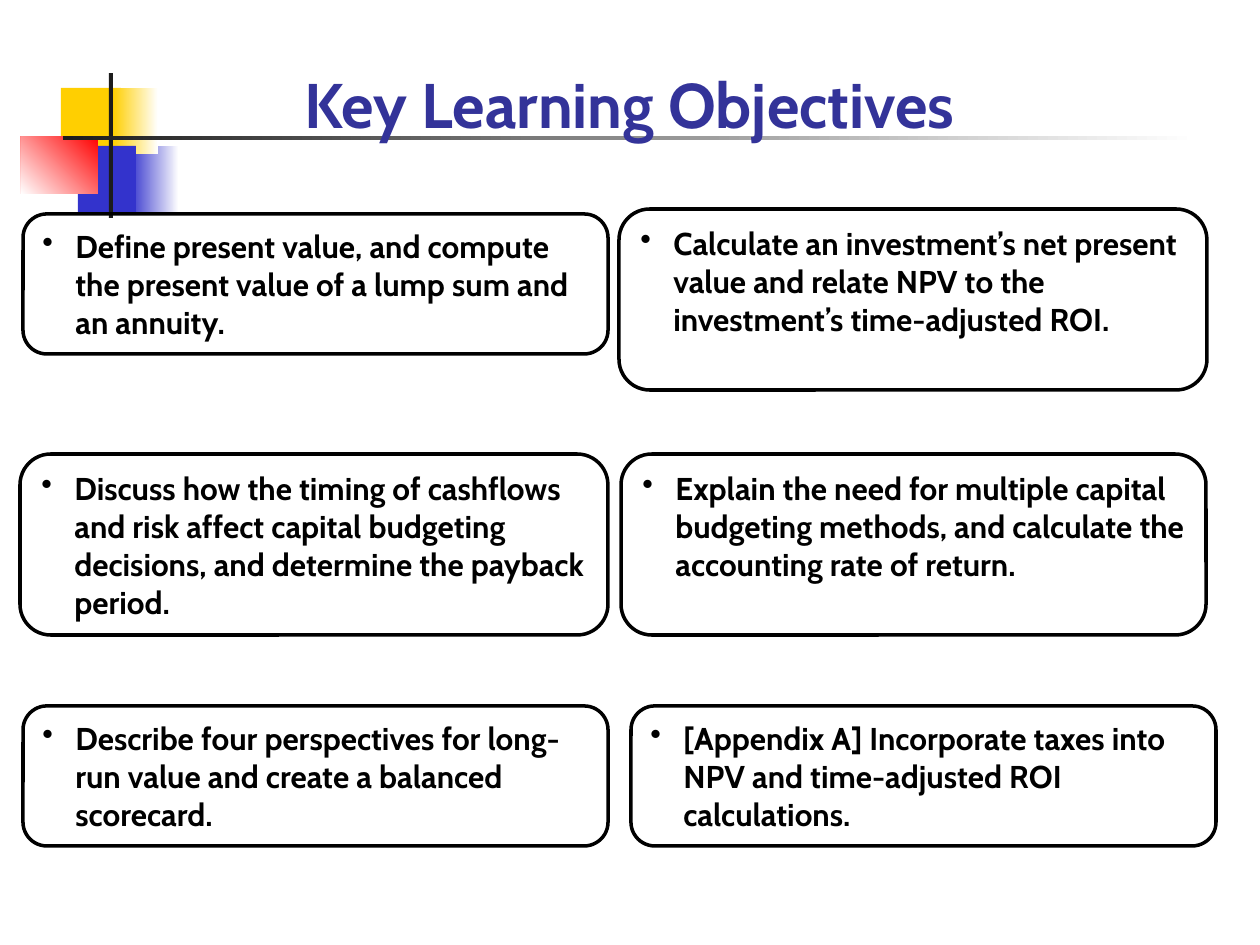
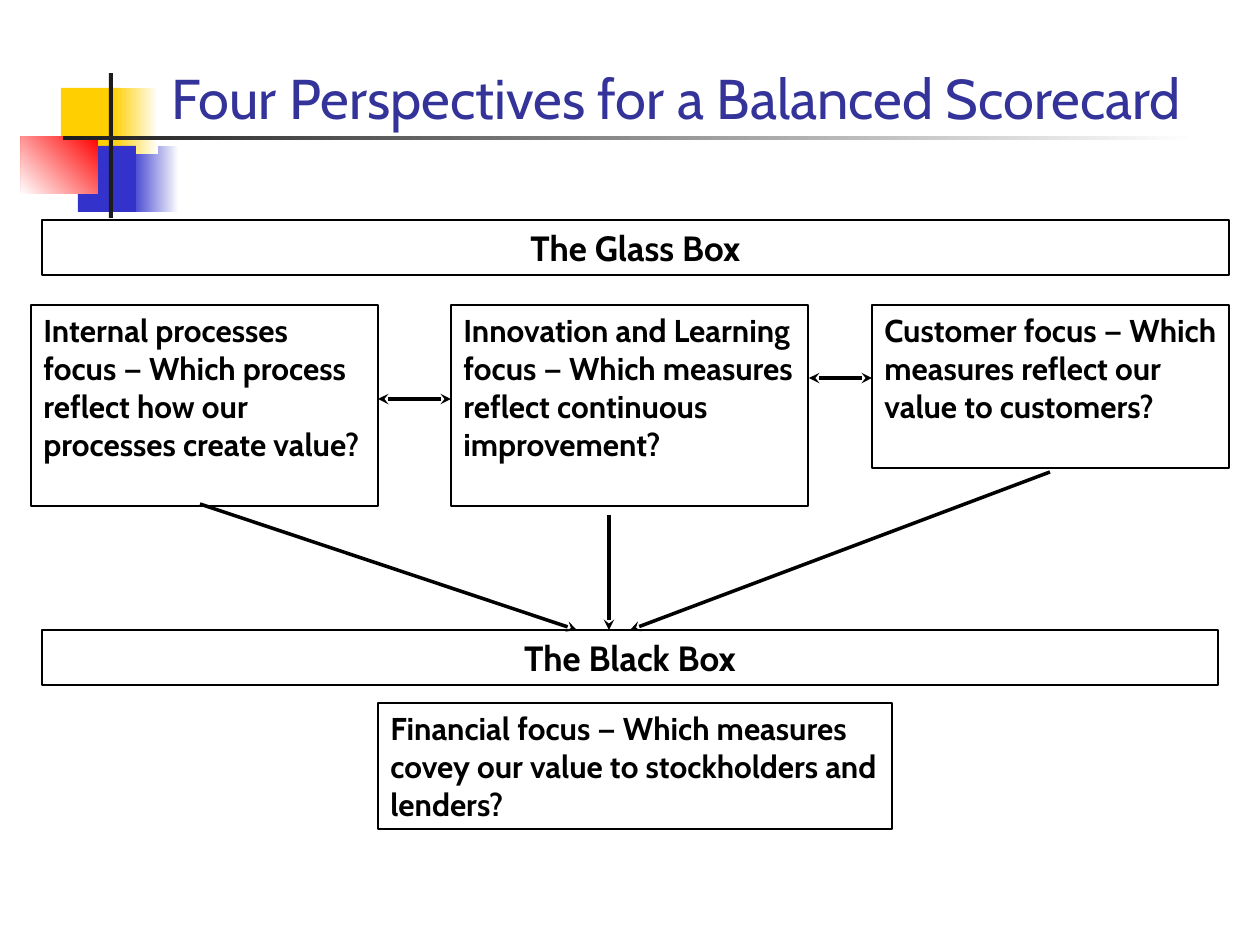
from lxml import etree
from pptx import Presentation
from pptx import util as u
from pptx.dml.color import RGBColor
from pptx.enum import shapes, text
from pptx.oxml.ns import qn

PX = 914400 / 126
FONT = "Cabin"
BLACK, WHITE, TITLE_BLUE = "000000", "FFFFFF", "333399"
BLUE, YELLOW, RED, CHARCOAL = "3333CC", "FFCF01", "FF0000", "1C1C1C"
LEFT, CENTER = text.PP_ALIGN.LEFT, text.PP_ALIGN.CENTER
RECT, ROUNDED = shapes.MSO_SHAPE.RECTANGLE, shapes.MSO_SHAPE.ROUNDED_RECTANGLE
HANGING = 33

# Corner decoration, back to front: place, colours, clockwise gradient angle
DECORATION = [
    ((129, 146, 50, 66), (WHITE, BLUE), 180),
    ((61, 88, 60, 66), (YELLOW,), 0),
    ((113, 88, 45, 66), (WHITE, YELLOW), 180),
    ((78, 146, 58, 66), (BLUE,), 0),
    ((21, 136, 77, 58), (RED, WHITE), 135),
    ((109, 73, 4, 145), (CHARCOAL,), 0),
    ((63, 136, 1134, 4), (WHITE, CHARCOAL), 180),
]

OBJECTIVES = [
    ((23, 214, 585, 140), "Define present value, and compute the present value "
                          "of a lump sum and an annuity."),
    ((619, 209, 588, 181), "Calculate an investment’s net present value and relate NPV "
                           "to the investment’s time-adjusted ROI."),
    ((20, 454, 588, 181), "Discuss how the timing of cashflows and risk affect capital "
                          "budgeting decisions, and determine the payback period."),
    ((621, 454, 585, 181), "Explain the need for multiple capital budgeting methods, "
                           "and calculate the accounting rate of return."),
    ((23, 706, 585, 140), "Describe four perspectives for long-run value and create "
                          "a balanced scorecard."),
    ((631, 706, 585, 140), "[Appendix A] Incorporate taxes into NPV and time-adjusted "
                           "ROI calculations."),
]

HEADINGS = [
    ((42, 220, 1187, 55), "The Glass Box"),
    ((42, 630, 1176, 55), "The Black Box"),
]

PERSPECTIVES = [
    ((31, 305, 347, 201), "Internal processes focus — Which process reflect how our "
                          "processes create value?"),
    ((451, 305, 357, 201), "Innovation and Learning focus — Which measures reflect "
                           "continuous improvement?"),
    ((872, 305, 357, 163), "Customer focus — Which measures reflect our value "
                           "to customers?"),
    ((378, 703, 514, 126), "Financial focus — Which measures covey our value to "
                           "stockholders and lenders?"),
]

# Start, end, and whether the arrow points both ways
ARROWS = [
    ((378, 399), (451, 399), True),
    ((809, 378), (872, 378), True),
    ((609, 515), (609, 630), False),
    ((1050, 472), (630, 630), False),
    ((200, 504), (577, 630), False),
]


def px(*lengths):
    return [u.Emu(round(length * PX)) for length in lengths]


def color(hex_string):
    return RGBColor.from_string(hex_string)


def style_font(para, size, hex_color, bold):
    para.font.name = FONT
    para.font.size = u.Pt(size)
    para.font.bold = bold
    para.font.color.rgb = color(hex_color)


def add_decoration(page):
    for place, colors, angle in DECORATION:
        block = page.shapes.add_shape(RECT, *px(*place))
        block.shadow.inherit = False
        block.line.fill.background()
        if len(colors) == 1:
            block.fill.solid()
            block.fill.fore_color.rgb = color(colors[0])
        else:
            block.fill.gradient()
            block.fill.gradient_angle = (360 - angle) % 360
            for stop, hex_color, position in zip(block.fill.gradient_stops, colors, (0, 1)):
                stop.color.rgb = color(hex_color)
                stop.position = position


def add_page(deck, heading, place, size, align, bold):
    page = deck.slides.add_slide(deck.slide_layouts[5])
    add_decoration(page)
    title = page.shapes.title
    title.left, title.top, title.width, title.height = px(*place)
    frame = title.text_frame
    frame.text = heading
    frame.word_wrap = True
    frame.auto_size = text.MSO_AUTO_SIZE.NONE
    frame.vertical_anchor = text.MSO_ANCHOR.BOTTOM
    para = frame.paragraphs[0]
    para.alignment = align
    style_font(para, size, TITLE_BLUE, bold)
    # The title lies above the decoration
    page.shapes._spTree.append(title._element)
    return page


def add_box(page, kind, place, words, line_width, size=18, align=LEFT):
    box = page.shapes.add_shape(kind, *px(*place))
    box.shadow.inherit = False
    box.fill.background()
    box.line.color.rgb = color(BLACK)
    box.line.width = u.Pt(line_width)
    frame = box.text_frame
    frame.text = words
    frame.word_wrap = True
    frame.vertical_anchor = text.MSO_ANCHOR.TOP
    para = frame.paragraphs[0]
    para.alignment = align
    style_font(para, size, BLACK, True)
    return box


def add_bullet(para):
    properties = para._p.get_or_add_pPr()
    indent = px(HANGING)[0]
    properties.set("marL", str(indent))
    properties.set("indent", str(-indent))
    bullet = etree.Element(qn("a:buChar"), char="•")
    properties.insert(0, bullet)


def add_objective(page, place, words):
    box = add_box(page, ROUNDED, place, words, line_width=2)
    box.adjustments[0] = 0.17
    add_bullet(box.text_frame.paragraphs[0])


def add_arrow(page, start, end, both_ways):
    arrow = page.shapes.add_connector(shapes.MSO_CONNECTOR.STRAIGHT, *px(*start, *end))
    arrow.line.color.rgb = color(BLACK)
    arrow.line.width = u.Pt(2)
    line = arrow.line._get_or_add_ln()
    for tag in ("a:headEnd", "a:tailEnd") if both_ways else ("a:tailEnd",):
        etree.SubElement(line, qn(tag), type="stealth")
    etree.SubElement(arrow._element.spPr, qn("a:effectLst"))


def main():
    deck = Presentation()
    deck.slide_width, deck.slide_height = px(1260, 945)

    # Learning objectives
    page = add_page(deck, "Key Learning Objectives", (94, 0, 1071, 147), 36, CENTER, True)
    for place, words in OBJECTIVES:
        add_objective(page, place, words)

    # Balanced scorecard
    page = add_page(deck, "Four Perspectives for a Balanced Scorecard",
                    (159, 21, 1074, 116), 32, LEFT, False)
    for place, words in PERSPECTIVES:
        add_box(page, RECT, place, words, line_width=1)
    for place, words in HEADINGS:
        add_box(page, RECT, place, words, line_width=1, size=20, align=CENTER)
    for start, end, both_ways in ARROWS:
        add_arrow(page, start, end, both_ways)

    deck.save("out.pptx")


if __name__ == "__main__":
    main()
